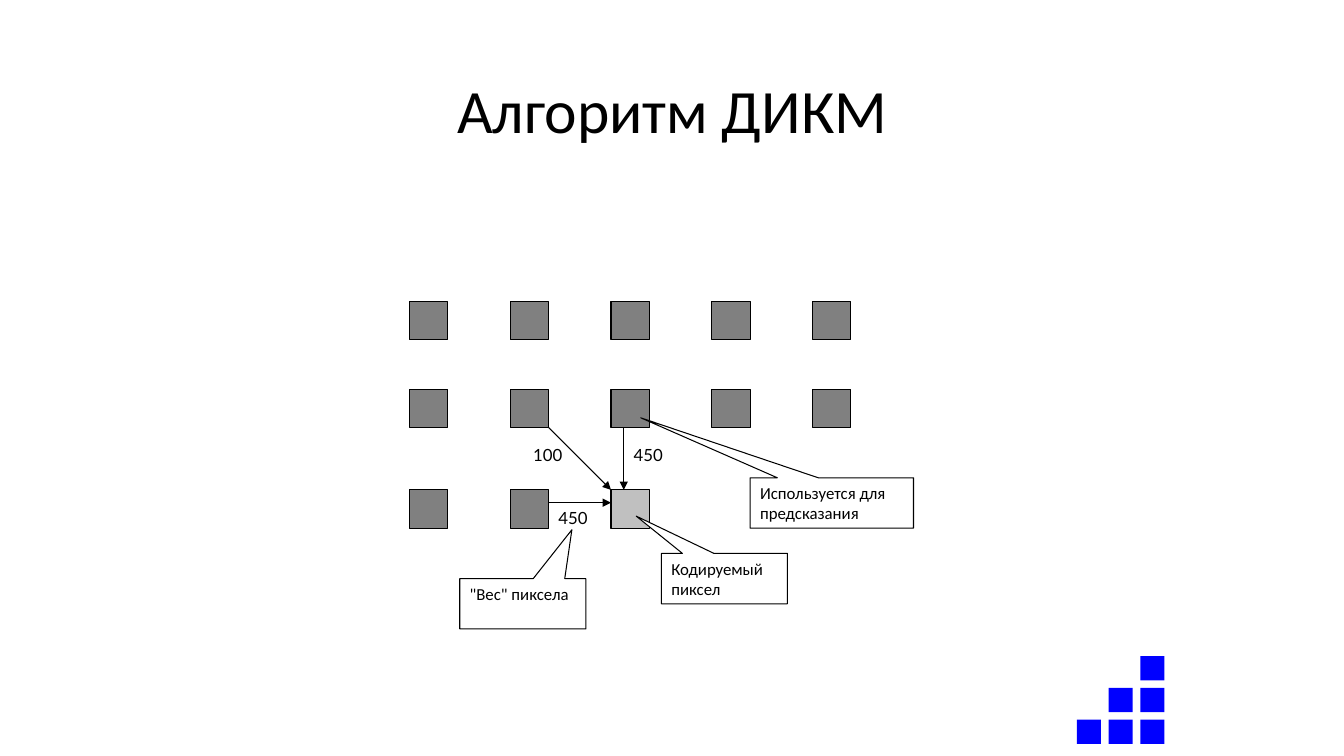
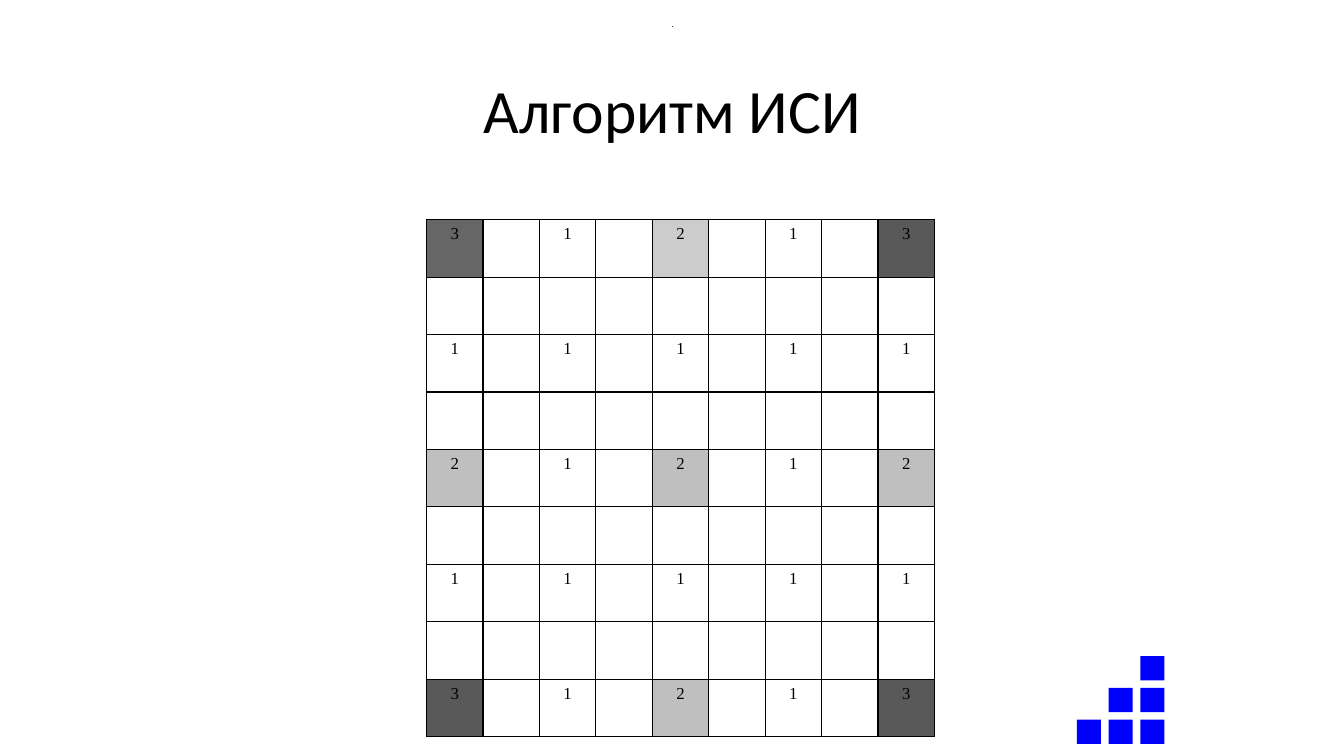
from lxml import etree
from pptx import Presentation
from pptx.dml.color import RGBColor
from pptx.enum.shapes import MSO_CONNECTOR, MSO_SHAPE
from pptx.enum.text import MSO_ANCHOR, PP_ALIGN
from pptx.oxml.ns import qn
from pptx.util import Inches, Pt

RECT = MSO_SHAPE.RECTANGLE
CALLOUT = MSO_SHAPE.RECTANGULAR_CALLOUT
STRAIGHT = MSO_CONNECTOR.STRAIGHT
LEFT, CENTER = PP_ALIGN.LEFT, PP_ALIGN.CENTER
TOP, MIDDLE = MSO_ANCHOR.TOP, MSO_ANCHOR.MIDDLE

BLACK = RGBColor(0x00, 0x00, 0x00)
WHITE = RGBColor(0xFF, 0xFF, 0xFF)
BLUE = RGBColor(0x00, 0x00, 0xFF)
DOT_BLUE = RGBColor(0x5B, 0x9B, 0xD5)
KNOWN_GRAY = RGBColor(0x80, 0x80, 0x80)
CODED_GRAY = RGBColor(0xC0, 0xC0, 0xC0)
LEVEL_FILLS = {3: RGBColor(0x59, 0x59, 0x59), 2: RGBColor(0xBF, 0xBF, 0xBF)}
# Two cells of the top row are a little lighter than their level
LIGHTER_CELLS = {(0, 0): RGBColor(0x66, 0x66, 0x66),
                 (0, 4): RGBColor(0xCC, 0xCC, 0xCC)}

BODY_FONT, LABEL_FONT, TABLE_FONT = "Calibri", "Lato", "Times New Roman"
THIN = 0.75

# Pixel grid of the prediction diagram
GRID_LEFT, COL_STEP, PIXEL = 4.06, 1, 0.38
ROW_TOPS = (2.99, 3.86, 4.86)
ROW_LENGTHS = (5, 5, 2)
CODED_COL, CODED_ROW = 2, 2

# Interpolation table
CELLS, TABLE_LEFT, TABLE_TOP, CELL_W, CELL_H = 9, 4.23, 2.18, 0.56, 0.57

# Corner staircase
STAIR_LEFT, STAIR_BOTTOM, STAIR_SIZE = 10.68, 7.14, 0.24
STAIR_STEPS, STAIR_PITCH = 3, 0.63 / 2


def box(*lengths):
    return [Inches(v) for v in lengths]


def write(tf, text, size, font, align=LEFT):
    p = tf.paragraphs[0]
    p.alignment = align
    r = p.add_run()
    r.text = text
    r.font.size = Pt(size)
    r.font.name = font
    r.font.color.rgb = BLACK
    return p


def add_block(shapes, at, fill, line=BLACK, preset=RECT):
    s = shapes.add_shape(preset, *box(*at))
    s.shadow.inherit = False
    s.fill.solid()
    s.fill.fore_color.rgb = fill
    if line is None:
        s.line.fill.background()
    else:
        s.line.color.rgb = line
        s.line.width = Pt(THIN)
    return s


def add_arrow(shapes, start, end):
    s = shapes.add_connector(STRAIGHT, *box(*start, *end))
    s.line.color.rgb = BLACK
    s.line.width = Pt(THIN)
    etree.SubElement(s.line._get_or_add_ln(), qn("a:tailEnd"), type="triangle")
    etree.SubElement(s._element.spPr, qn("a:effectLst"))


def add_label(shapes, left, top, text):
    tf = shapes.add_textbox(*box(left, top, 0.5, PIXEL)).text_frame
    tf.word_wrap = False
    write(tf, text, 12, LABEL_FONT)


def add_callout(shapes, at, tip, text):
    s = add_block(shapes, at, WHITE, preset=CALLOUT)
    s.adjustments[0], s.adjustments[1] = tip
    tf = s.text_frame
    tf.word_wrap = True
    tf.vertical_anchor = TOP
    write(tf, text, 12, BODY_FONT)


def add_staircase(slide):
    shapes = slide.shapes.add_group_shape().shapes
    for col in range(STAIR_STEPS):
        for level in range(col + 1):
            at = (STAIR_LEFT + col * STAIR_PITCH,
                  STAIR_BOTTOM - level * STAIR_PITCH, STAIR_SIZE, STAIR_SIZE)
            add_block(shapes, at, BLUE, line=None)


def add_slide(prs, title):
    slide = prs.slides.add_slide(prs.slide_layouts[5])
    s = slide.shapes.title
    s.left, s.top, s.width, s.height = box(0.92, 0.4, 11.5, 1.45)
    s.text_frame.vertical_anchor = MIDDLE
    write(s.text_frame, title, 44, BODY_FONT, CENTER).line_spacing = 0.9
    add_staircase(slide)
    return slide


def pixel_at(col, row):
    return GRID_LEFT + col * COL_STEP, ROW_TOPS[row]


def add_prediction_diagram(slide):
    shapes = slide.shapes.add_group_shape().shapes

    # Pixels: the known ones and the one being coded
    for row, length in enumerate(ROW_LENGTHS):
        for col in range(length):
            add_block(shapes, (*pixel_at(col, row), PIXEL, PIXEL), KNOWN_GRAY)
    x, y = pixel_at(CODED_COL, CODED_ROW)
    add_block(shapes, (x, y, PIXEL, PIXEL), CODED_GRAY)

    # Arrows from the neighbours, with their weights
    left_edge = x - COL_STEP + PIXEL
    above_edge = ROW_TOPS[CODED_ROW - 1] + PIXEL
    third = PIXEL / 3
    add_arrow(shapes, (left_edge, above_edge), (x, y))
    add_arrow(shapes, (x + third, above_edge), (x + third, y))
    add_arrow(shapes, (left_edge, y + third), (x, y + third))
    add_label(shapes, left_edge, y + third, "450")
    add_label(shapes, x + third, above_edge + third, "450")
    add_label(shapes, left_edge - 0.25, above_edge + third, "100")

    # Explanations
    for at, tip, text in (
        ((6.56, 5.49, 1.25, 0.5), (-0.7, -1.24), "Кодируемый пиксел"),
        ((7.44, 4.74, 1.62, 0.5), (-1.17, -1.69),
         "Используется для предсказания"),
        ((4.56, 5.74, 1.25, 0.5), (0.39, -1.47), '"Вес" пиксела'),
    ):
        add_callout(shapes, at, tip, text)


def level_of(row, col):
    """Coarsest interpolation level whose lattice holds the cell."""
    for level in (3, 2, 1):
        step = 2 ** level
        if row % step == 0 and col % step == 0:
            return level
    return 0


def set_borders(cell):
    tc_pr = cell._tc.get_or_add_tcPr()
    for i, side in enumerate(("a:lnL", "a:lnR", "a:lnT", "a:lnB")):
        ln = etree.Element(qn(side), w=str(Pt(1)))
        fill = etree.SubElement(ln, qn("a:solidFill"))
        etree.SubElement(fill, qn("a:srgbClr"), val=str(BLACK))
        tc_pr.insert(i, ln)


def add_level_table(slide):
    table = slide.shapes.add_table(
        CELLS, CELLS, *box(TABLE_LEFT, TABLE_TOP, CELLS * CELL_W,
                           CELLS * CELL_H)).table
    table.first_row = table.horz_banding = False
    for col in table.columns:
        col.width = Inches(CELL_W)
    for row in table.rows:
        row.height = Inches(CELL_H)
    for r in range(CELLS):
        for c in range(CELLS):
            cell, level = table.cell(r, c), level_of(r, c)
            cell.fill.solid()
            cell.fill.fore_color.rgb = LIGHTER_CELLS.get(
                (r, c), LEVEL_FILLS.get(level, WHITE))
            set_borders(cell)
            if level:
                write(cell.text_frame, str(level), 12, TABLE_FONT, CENTER)


def main():
    prs = Presentation()
    prs.slide_width, prs.slide_height = box(13.33, 7.5)

    # Prediction from neighbouring pixels
    add_prediction_diagram(add_slide(prs, "Алгоритм ДИКМ"))

    # Interpolation levels, with a dot above the title
    slide = add_slide(prs, "Алгоритм ИСИ")
    add_block(slide.shapes, (6.67, 0.26, 0, 0), DOT_BLUE)
    add_level_table(slide)

    prs.save("out.pptx")


if __name__ == "__main__":
    main()
